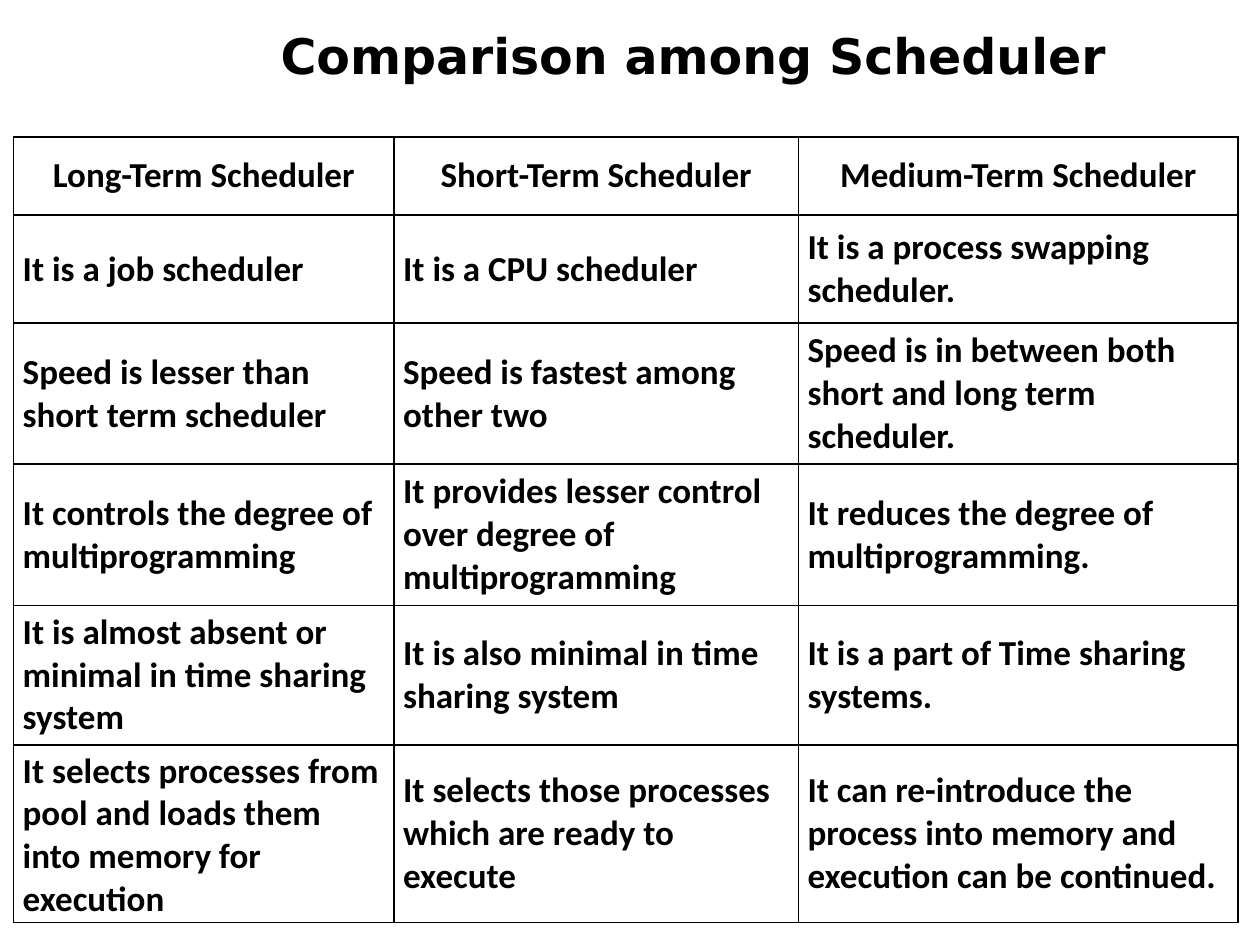
from lxml import etree
from pptx import Presentation
from pptx.dml.color import RGBColor
from pptx.enum.text import MSO_ANCHOR, PP_ALIGN
from pptx.oxml.ns import qn
from pptx.util import Pt

LEFT, CENTER = PP_ALIGN.LEFT, PP_ALIGN.CENTER
TOP, MIDDLE = MSO_ANCHOR.TOP, MSO_ANCHOR.MIDDLE
COLORS = {"ink": "000000", "paper": "FFFFFF"}
COLS = [217.4, 231.1, 251.3]
HEIGHTS = [44.6, 61.9, 80.6, 80.6, 79.9, 100.8]
ROWS = [
    ["Long-Term Scheduler", "Short-Term Scheduler", "Medium-Term Scheduler"],
    ["It is a job scheduler", "It is a CPU scheduler",
     "It is a process swapping scheduler."],
    ["Speed is lesser than short term scheduler",
     "Speed is fastest among other two",
     "Speed is in between both short and long term scheduler."],
    ["It controls the degree of multiprogramming",
     "It provides lesser control over degree of multiprogramming",
     "It reduces the degree of multiprogramming."],
    ["It is almost absent or minimal in time sharing system",
     "It is also minimal in time sharing system",
     "It is a part of Time sharing systems."],
    ["It selects processes from pool and loads them into memory for execution",
     "It selects those processes which are ready to execute",
     "It can re-introduce the process into memory and execution can be continued."],
]


def write(frame, text, font="Calibri", size=20, align=LEFT, space=None):
    """Write one bold paragraph into a text frame."""
    frame.word_wrap = True
    para = frame.paragraphs[0]
    para.alignment = align
    para.line_spacing = space
    run = para.add_run()
    run.text = text
    run.font.name = font
    run.font.size = Pt(size)
    run.font.bold = True
    run.font.color.rgb = RGBColor.from_string(COLORS["ink"])


def border(cell):
    """Draw a thin line on each side of a cell."""
    props = cell._tc.get_or_add_tcPr()
    for spot, side in enumerate(("a:lnL", "a:lnR", "a:lnT", "a:lnB")):
        line = etree.Element(qn(side), w=str(Pt(1)))
        fill = etree.SubElement(line, qn("a:solidFill"))
        etree.SubElement(fill, qn("a:srgbClr"), val=COLORS["ink"])
        props.insert(spot, line)


def add_title(slide, x, y, w, h):
    """Place the slide title in its box."""
    frame = slide.shapes.add_textbox(Pt(x), Pt(y), Pt(w), Pt(h)).text_frame
    frame.vertical_anchor = TOP
    write(frame, "Comparison among Scheduler", font="DejaVu Sans", size=28,
          align=CENTER, space=0.9)


def add_grid(slide, x, y):
    """Place the table of schedulers from its top left corner."""
    table = slide.shapes.add_table(
        len(ROWS), len(COLS), Pt(x), Pt(y), Pt(sum(COLS)), Pt(sum(HEIGHTS))).table
    for col, width in zip(table.columns, COLS):
        col.width = Pt(width)
    for r, (height, texts) in enumerate(zip(HEIGHTS, ROWS)):
        table.rows[r].height = Pt(height)
        for c, text in enumerate(texts):
            cell = table.cell(r, c)
            cell.margin_left = cell.margin_right = Pt(5.2)
            cell.margin_top = cell.margin_bottom = Pt(2.7)
            cell.vertical_anchor = MIDDLE
            cell.fill.solid()
            cell.fill.fore_color.rgb = RGBColor.from_string(COLORS["paper"])
            border(cell)
            write(cell.text_frame, text, align=LEFT if r else CENTER)


def main():
    """Build and save the slide."""
    deck = Presentation()
    deck.slide_width, deck.slide_height = Pt(720), Pt(540)
    slide = deck.slides.add_slide(deck.slide_layouts[6])
    add_title(slide, 72, 15, 648, 73)
    add_grid(slide, 7.8, 78.2)
    deck.save("out.pptx")


if __name__ == "__main__":
    main()
